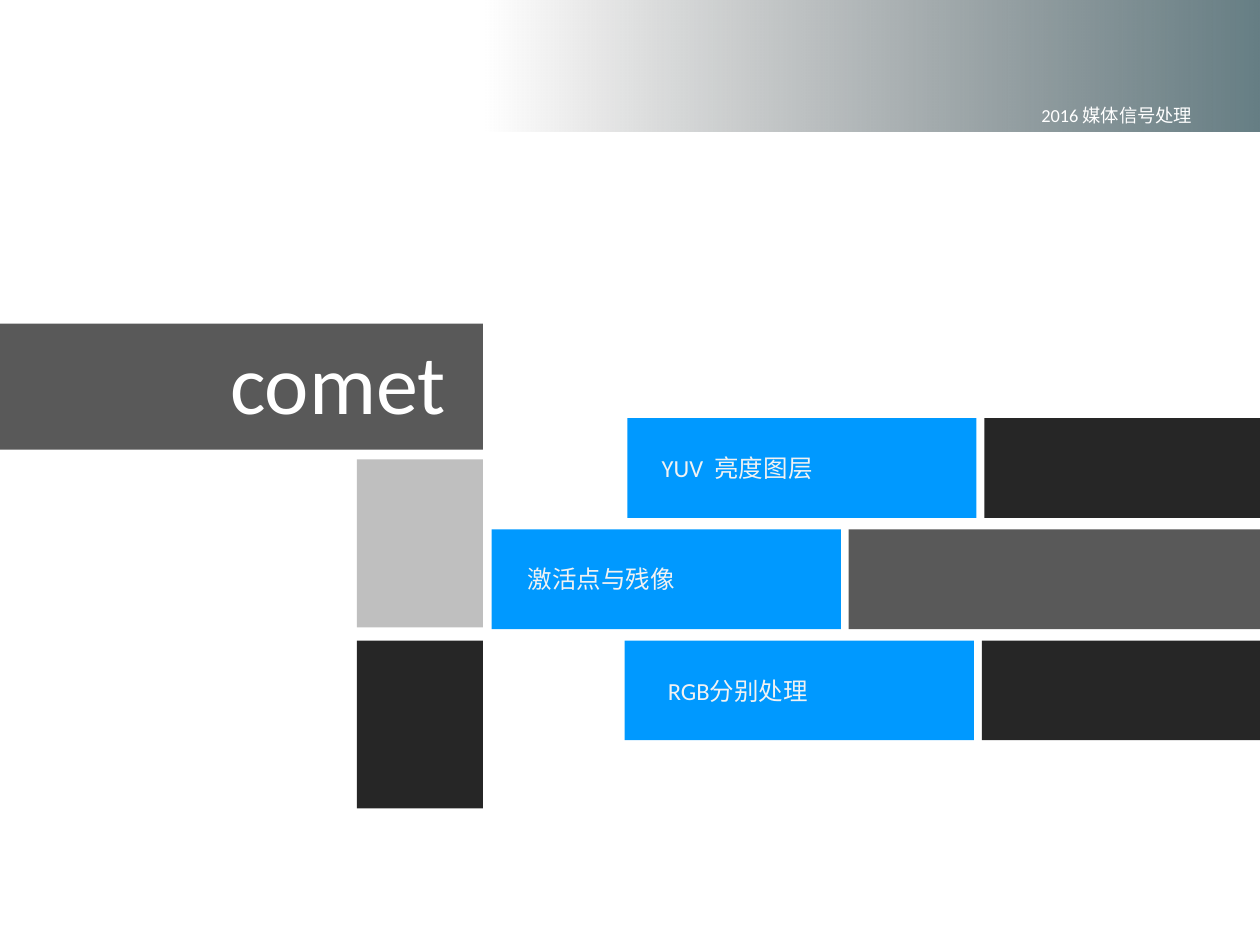
import pptx
import pptx.dml.color
import pptx.enum.shapes
import pptx.enum.text
import pptx.oxml
import pptx.oxml.ns
import pptx.util

Pt = pptx.util.Pt
ALIGN = pptx.enum.text.PP_ALIGN

SLATE, CHARCOAL, SILVER, BLUE = "595959", "262626", "BFBFBF", "0099FF"
WHITE, PALE, TEAL, BLACK = "FFFFFF", "F2F2F2", "215968", "000000"

SLIDE_WIDTH, SLIDE_HEIGHT = 720, 540
ROW_TOP, ROW_PITCH, ROW_HEIGHT = 239, 63.5, 57
TOPIC_WIDTH, TOPIC_GAP = 199.5, 4.5
COLUMN_LEFT, COLUMN_WIDTH, COLUMN_HEIGHT = 204, 72, 96

# topic, block left, label left, colour of the bar that runs to the slide edge
TOPICS = [
    ("YUV  亮度图层", 358.5, 371, CHARCOAL),
    ("激活点与残像", 281, 294.5, SLATE),
    ("RGB分别处理", 357, 374.5, CHARCOAL),
]


def rgb(colour):
    return pptx.dml.color.RGBColor.from_string(colour)


def add_block(slide, left, top, width, height, colour=None):
    block = slide.shapes.add_shape(
        pptx.enum.shapes.MSO_SHAPE.RECTANGLE, Pt(left), Pt(top), Pt(width), Pt(height))
    block.shadow.inherit = False
    block.line.fill.background()
    if colour:
        block.fill.solid()
        block.fill.fore_color.rgb = rgb(colour)
    return block


def fade_out(block, colour):
    """Fill from the colour at the right to full transparency at the left."""
    block.fill.gradient()
    block.fill.gradient_angle = 180
    solid, clear = block.fill.gradient_stops
    solid.color.rgb, solid.position = rgb(colour), 0
    clear.color.rgb, clear.position = rgb(BLACK), 1
    last_colour = block.element.findall(".//" + pptx.oxml.ns.qn("a:srgbClr"))[-1]
    last_colour.append(pptx.oxml.parse_xml(
        f'<a:alpha {pptx.oxml.ns.nsdecls("a")} val="0"/>'))


def write(holder, text, size, colour, align=ALIGN.LEFT):
    frame = holder.text_frame
    frame.text = text
    frame_format = {
        "word_wrap": True,
        "auto_size": pptx.enum.text.MSO_AUTO_SIZE.SHAPE_TO_FIT_TEXT,
        "vertical_anchor": pptx.enum.text.MSO_ANCHOR.TOP,
    }
    for name, value in frame_format.items():
        setattr(frame, name, value)
    paragraph = frame.paragraphs[0]
    paragraph.alignment = align
    font = paragraph.runs[0].font
    for name, value in {"size": Pt(size), "name": "Calibri"}.items():
        setattr(font, name, value)
    font.color.rgb = rgb(colour)


def add_label(slide, text, left, top, width, height, size, colour):
    label = slide.shapes.add_textbox(Pt(left), Pt(top), Pt(width), Pt(height))
    write(label, text, size, colour)


def add_header(slide):
    fade_out(add_block(slide, 276, 0, 678, 75), TEAL)
    add_label(slide, "2016 媒体信号处理", 588, 56, 336, 20, 10.5, WHITE)


def add_title(slide):
    band = add_block(slide, 0, 185, COLUMN_LEFT + COLUMN_WIDTH, 72, SLATE)
    title = slide.shapes.title
    position = {"left": 91, "top": 185, "width": 171, "height": 65.5}
    for name, value in position.items():
        setattr(title, name, Pt(value))
    write(title, "comet", 48, WHITE, ALIGN.RIGHT)
    band.element.addnext(title.element)  # keeps the title in front of its band


def add_topic(slide, row, text, left, label_left, bar_colour):
    top = ROW_TOP + row * ROW_PITCH
    bar_left = left + TOPIC_WIDTH + TOPIC_GAP
    add_block(slide, left, top, TOPIC_WIDTH, ROW_HEIGHT, BLUE)
    add_block(slide, bar_left, top, SLIDE_WIDTH - bar_left, ROW_HEIGHT, bar_colour)
    add_label(slide, text, label_left, top + 16.5, 168, 24.5, 14, PALE)


def main():
    deck = pptx.Presentation()
    deck.slide_width, deck.slide_height = Pt(SLIDE_WIDTH), Pt(SLIDE_HEIGHT)
    slide = deck.slides.add_slide(deck.slide_layouts[5])

    add_header(slide)
    add_title(slide)
    for top, colour in ((262.5, SILVER), (366, CHARCOAL)):
        add_block(slide, COLUMN_LEFT, top, COLUMN_WIDTH, COLUMN_HEIGHT, colour)
    for row, topic in enumerate(TOPICS):
        add_topic(slide, row, *topic)

    deck.save("out.pptx")


if __name__ == "__main__":
    main()
